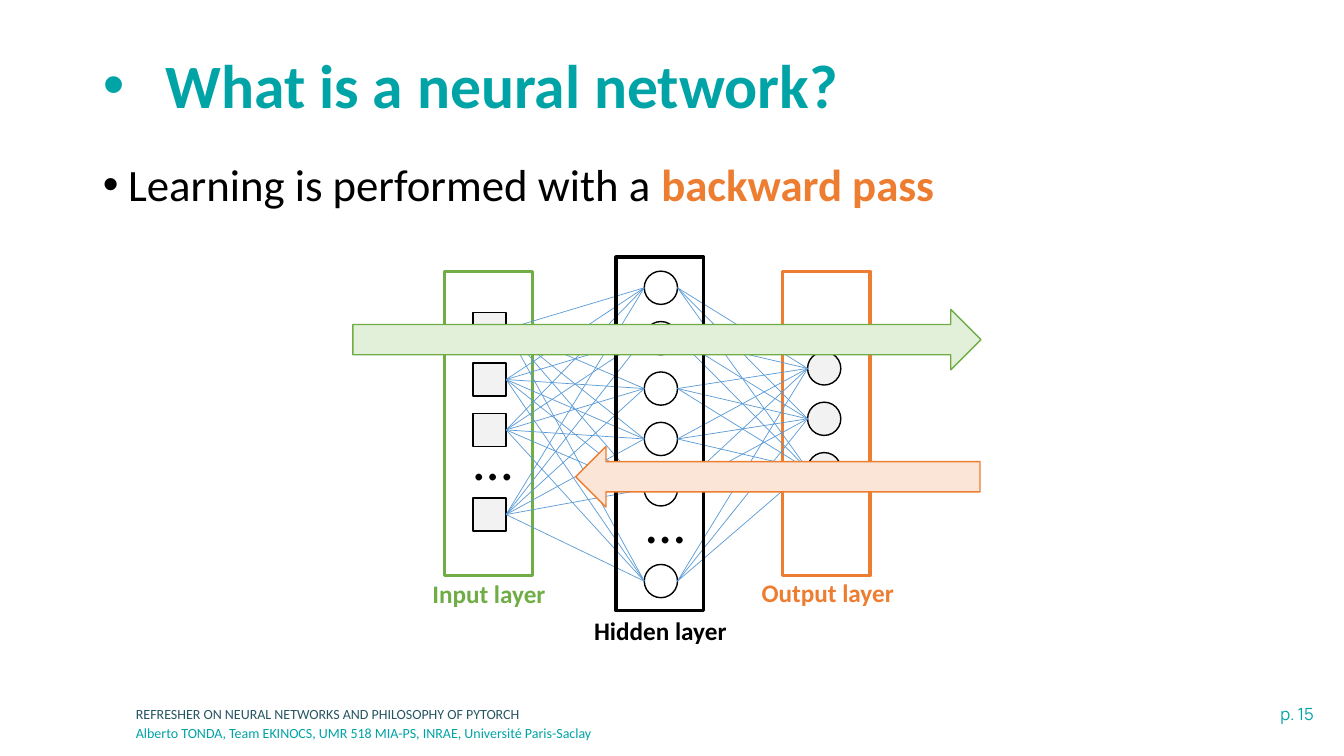
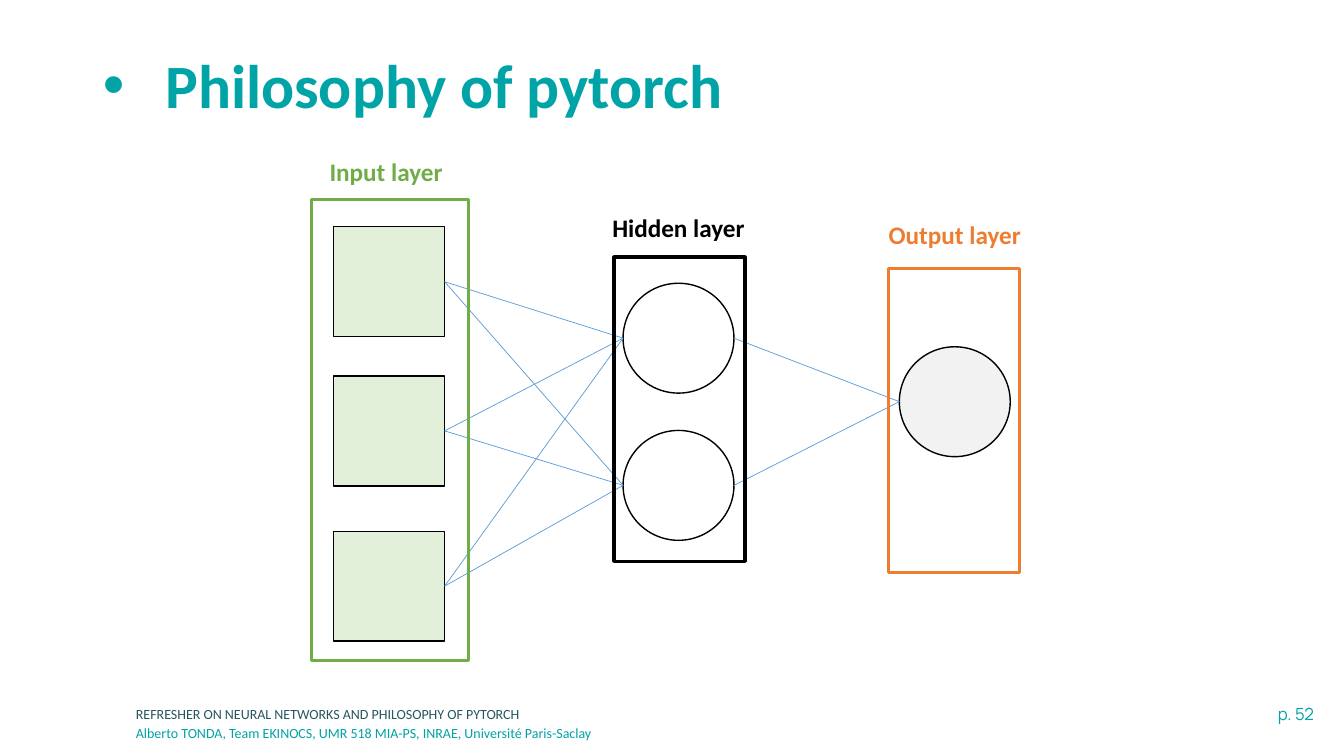
"""Build two slides about neural networks and their layers."""
import itertools
import pptx
import pptx.util
import pptx.dml.color
import pptx.enum.shapes
import pptx.enum.text
import lxml.etree

Inches, Pt = pptx.util.Inches, pptx.util.Pt
RGB = pptx.dml.color.RGBColor
SHAPE = pptx.enum.shapes.MSO_SHAPE
LINE = pptx.enum.shapes.MSO_CONNECTOR.STRAIGHT
ALIGN = pptx.enum.text.PP_ALIGN
ANCHOR = pptx.enum.text.MSO_ANCHOR
FIT = pptx.enum.text.MSO_AUTO_SIZE

TEAL, NAVY = RGB(0x00, 0xA3, 0xA6), RGB(0x27, 0x56, 0x62)
BLACK, WHITE, GREY = RGB(0, 0, 0), RGB(255, 255, 255), RGB(0xF2, 0xF2, 0xF2)
GREEN, MINT = RGB(0x70, 0xAD, 0x47), RGB(0xE2, 0xF0, 0xD9)
ORANGE, PEACH = RGB(0xED, 0x7D, 0x31), RGB(0xFB, 0xE5, 0xD6)
BLUE = RGB(0x5B, 0x9B, 0xD5)

FOOTERS = [
    ("REFRESHER ON NEURAL NETWORKS AND PHILOSOPHY OF PYTORCH", 6.95, NAVY),
    ("Alberto TONDA, Team EKINOCS, UMR 518 MIA-PS, INRAE, Université Paris-Saclay", 7.14, TEAL),
]
STYLES = {
    "Input layer": (GREEN, SHAPE.RECTANGLE),
    "Hidden layer": (BLACK, SHAPE.OVAL),
    "Output layer": (ORANGE, SHAPE.OVAL),
}
SLIDES = [
    {
        "title": "What is a neural network?", "page": "p. 15",
        "body": [("Learning is performed with a ", {}),
                 ("backward pass", {"color": ORANGE, "bold": True})],
        "size": (0.33, 0.33),
        "layers": [
            {"name": "Input layer", "frame": (4.41, 2.69, 0.87, 3.02), "label": (4, 5.69),
             "fill": GREY, "left": 4.69, "tops": [3.1, 3.6, 4.1, 4.94]},
            {"name": "Hidden layer", "frame": (6.11, 2.55, 0.87, 3.51), "label": (5.7, 6.06),
             "fill": WHITE, "left": 6.39, "tops": [2.69, 3.19, 3.69, 4.19, 4.69, 5.6], "front": True},
            {"name": "Output layer", "frame": (7.76, 2.69, 0.87, 3.02), "label": (7.36, 5.68),
             "fill": GREY, "left": 8.01, "tops": [3.49, 3.99, 4.49]},
        ],
        "dots": [(4.6, 4.16), (6.31, 4.79)],
        "arrows": [(SHAPE.RIGHT_ARROW, (3.5, 3.07, 6.23, 0.6), MINT, GREEN),
                   (SHAPE.LEFT_ARROW, (5.71, 4.43, 4.01, 0.6), PEACH, ORANGE)],
    },
    {
        "title": "Philosophy of pytorch", "page": "p. 52", "body": [],
        "size": (1.1, 1.09),
        "layers": [
            {"name": "Input layer", "frame": (3.09, 1.98, 1.56, 4.57), "label": (2.98, 1.5),
             "fill": MINT, "left": 3.31, "tops": [2.25, 3.73, 5.27], "front": True},
            {"name": "Hidden layer", "frame": (6.09, 2.55, 1.3, 3.02), "label": (5.88, 2.06),
             "fill": WHITE, "left": 6.18, "tops": [2.81, 4.27], "front": True},
            {"name": "Output layer", "frame": (8.81, 2.66, 1.3, 3.02), "label": (8.62, 2.13),
             "fill": GREY, "left": 8.92, "tops": [3.44], "front": True},
        ],
        "dots": [], "arrows": [],
    },
]


def place(shape, box):
    """Move and size a shape."""
    shape.left, shape.top, shape.width, shape.height = map(Inches, box)


def write(shape, runs, size=18, color=BLACK, bold=False, font="Calibri",
          align=ALIGN.LEFT, anchor=ANCHOR.TOP, indent=None, before=0):
    """Fill a shape with one paragraph, given as a string or as runs with formats."""
    frame = shape.text_frame
    frame.word_wrap, frame.auto_size = True, FIT.NONE
    frame.vertical_anchor = anchor
    para = frame.paragraphs[0]
    para.alignment = align
    for text, style in [(runs, {})] if isinstance(runs, str) else runs:
        run = para.add_run()
        run.text = text
        run.font.size, run.font.name = Pt(size), font
        run.font.bold = style.get("bold", bold)
        run.font.color.rgb = style.get("color", color)
    if indent:
        para.line_spacing, para.space_before = 0.9, Pt(before)
        props = para._p.get_or_add_pPr()
        props.set("marL", str(Inches(indent)))
        props.set("indent", str(-Inches(indent)))
        for tag, key, value in [("buFont", "typeface", "Arial"), ("buChar", "char", "•")]:
            lxml.etree.SubElement(props, pptx.oxml.ns.qn("a:" + tag)).set(key, value)


def label(slide, text, box, **style):
    """Add a text box."""
    write(slide.shapes.add_textbox(*map(Inches, box)), text, **style)


def draw(slide, kind, box, fill, color, width=1):
    """Add a preset shape, hollow when it has no fill."""
    shape = slide.shapes.add_shape(kind, *map(Inches, box))
    shape.shadow.inherit = False
    if fill is None:
        shape.fill.background()
    else:
        shape.fill.solid()
        shape.fill.fore_color.rgb = fill
    shape.line.color.rgb, shape.line.width = color, Pt(width)
    return shape


def link(slide, start, end):
    """Join the right side of one node to the left side of another."""
    line = slide.shapes.add_connector(
        LINE, start.left + start.width, start.top + start.height // 2,
        end.left, end.top + end.height // 2)
    if start.auto_shape_type == SHAPE.RECTANGLE:
        line.begin_connect(start, 3)
    line.line.color.rgb, line.line.width = BLUE, Pt(0.5)
    lxml.etree.SubElement(line._element.spPr, pptx.oxml.ns.qn("a:effectLst"))


def outline(slide, layers, front):
    """Frame and name the layers that lie in front of or behind the links."""
    for layer in layers:
        if layer.get("front", False) == front:
            color = STYLES[layer["name"]][0]
            draw(slide, SHAPE.RECTANGLE, layer["frame"], None, color, 2.25)
            label(slide, layer["name"], (*layer["label"], 1.7, 0.4),
                  color=color, bold=True, align=ALIGN.CENTER)


def network(slide, data):
    """Draw nodes, links, frames and arrows."""
    layers = data["layers"]
    outline(slide, layers, False)
    nodes = [[draw(slide, STYLES[layer["name"]][1], (layer["left"], top, *data["size"]),
                   layer["fill"], BLACK) for top in layer["tops"]] for layer in layers]
    for spot in data["dots"]:
        label(slide, "…", (*spot, 0.5, 0.77), size=40, align=ALIGN.CENTER)
    for near, far in zip(nodes, nodes[1:]):
        for start, end in itertools.product(near, far):
            link(slide, start, end)
    outline(slide, layers, True)
    for arrow in data["arrows"]:
        draw(slide, *arrow)


def build(deck, data):
    """Add one slide with title, footers and network."""
    slide = deck.slides.add_slide(deck.slide_layouts[1 if data["body"] else 5])
    label(slide, data["page"], (10.85, 6.93, 2.28, 0.3), size=12, color=TEAL,
          font="Manrope", align=ALIGN.RIGHT)
    for text, top, color in FOOTERS:
        label(slide, text, (1.25, top, 7.34, 0.28), size=10, color=color)
    title = slide.shapes.title
    place(title, (0.92, 0.4, 11.5, 0.95))
    write(title, data["title"], size=44, color=TEAL, bold=True,
          anchor=ANCHOR.MIDDLE, indent=0.62)
    if data["body"]:
        body = slide.placeholders[1]
        place(body, (0.92, 1.56, 11.5, 5.11))
        write(body, data["body"], size=32, indent=0.25, before=10)
    network(slide, data)


def main():
    """Build and save the deck."""
    deck = pptx.Presentation()
    deck.slide_width, deck.slide_height = Inches(13.33), Inches(7.5)
    for data in SLIDES:
        build(deck, data)
    deck.save("out.pptx")


if __name__ == "__main__":
    main()
